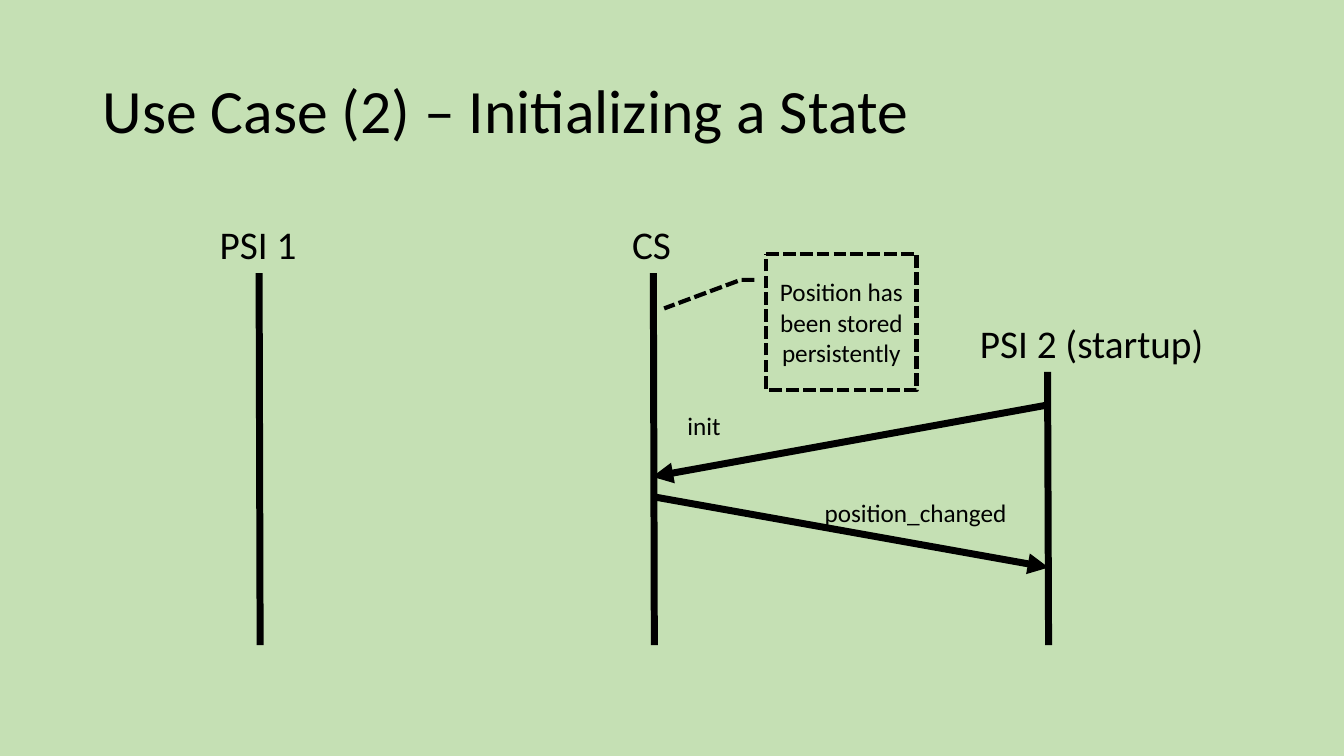
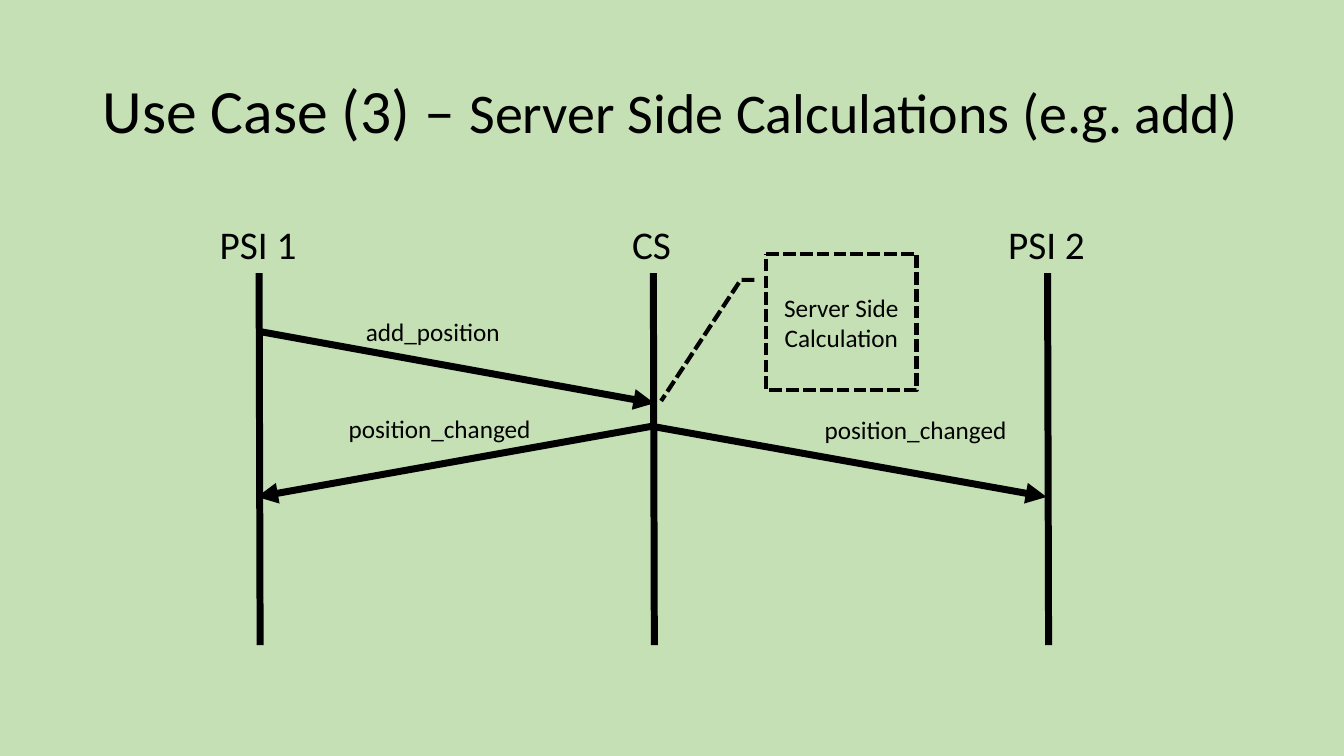
"""Build two sequence-diagram slides about sharing a position."""
from pptx import Presentation
from pptx.dml.color import RGBColor
from pptx.enum import dml, shapes, text
from pptx.oxml.ns import qn
from pptx.util import Inches, Pt
from lxml import etree

FONT, INK, GREEN = "Calibri", "000000", "C5E0B4"
LIFELINE_X, LIFELINE_GAP, LIFELINE_END = 2.57, 3.91, 6.4
LABEL_H, MESSAGE_H = 0.57, 0.4

SLIDES = [
    {
        "title": [("Use Case (2) – Initializing a State", 44)],
        "lifelines": [("PSI 1", 2.08, 0.97, 2.71), ("CS", 6.17, 0.59, 2.71),
                      ("PSI 2 (startup)", 9.62, 2.45, 3.69)],
        "arrows": [((6.49, 4.93), (10.4, 5.63)), ((10.38, 4.02), (6.47, 4.73))],
        "messages": [("position_changed", 8.08, 4.88, 2.03),
                     ("init", 6.72, 4.02, 0.54)],
        "note": ("Position has been stored persistently", 0.4, -0.68),
    },
    {
        "title": [("Use Case (3) – ", 44),
                  ("Server Side Calculations (e.g. add)", 40)],
        "lifelines": [("PSI 1", 2.08, 0.97, 2.71), ("CS", 6.17, 0.59, 2.71),
                      ("PSI 2", 9.9, 0.97, 2.71)],
        "arrows": [((2.58, 3.29), (6.49, 4)), ((6.47, 4.23), (10.38, 4.93)),
                   ((6.46, 4.23), (2.55, 4.93))],
        "messages": [("add_position", 3.53, 3.09, 1.55),
                     ("position_changed", 8.08, 4.06, 2.03),
                     ("position_changed", 3.36, 4.05, 2.03)],
        "note": ("Server Side Calculation", 1.08, -0.7),
    },
]


def color(value):
    return RGBColor.from_string(value)


def write(p, runs):
    for content, size in runs:
        r = p.add_run()
        r.text = content
        r.font.name, r.font.size = FONT, Pt(size)
        r.font.color.rgb = color(INK)


def add_text(s, box, runs, wrap=False):
    tf = s.shapes.add_textbox(*map(Inches, box)).text_frame
    tf.word_wrap = wrap
    write(tf.paragraphs[0], runs)
    return tf


def add_title(s, runs):
    tf = add_text(s, (0.92, 0.4, 11.5, 1.45), runs, wrap=True)
    tf.vertical_anchor = text.MSO_ANCHOR.MIDDLE
    tf.paragraphs[0].line_spacing = 0.9


def add_line(s, start, end, arrow=False):
    c = s.shapes.add_connector(shapes.MSO_CONNECTOR.STRAIGHT,
                               *map(Inches, (*start, *end)))
    c.line.width = Pt(5)
    c.line.color.rgb = color(INK)
    if arrow:
        etree.SubElement(c.line._get_or_add_ln(), qn("a:tailEnd"), type="triangle")
    etree.SubElement(c._element.spPr, qn("a:effectLst"))


def add_note(s, content, tip_y, tip_x):
    sp = s.shapes.add_shape(shapes.MSO_SHAPE.LINE_CALLOUT_2,
                            *map(Inches, (7.6, 2.52, 1.49, 1.35)))
    for i, value in enumerate((0.19, -0.08, 0.19, -0.17, tip_y, tip_x)):
        sp.adjustments[i] = value
    sp.shadow.inherit = False
    sp.fill.background()
    sp.line.width = Pt(3)
    sp.line.color.rgb = color(INK)
    sp.line.dash_style = dml.MSO_LINE.SQUARE_DOT
    tf = sp.text_frame
    tf.word_wrap = True
    tf.vertical_anchor = text.MSO_ANCHOR.MIDDLE
    p = tf.paragraphs[0]
    p.alignment = text.PP_ALIGN.CENTER
    write(p, [(content, 18)])


prs = Presentation()
prs.slide_width, prs.slide_height = Inches(13.33), Inches(7.5)
master_fill = prs.slide_master.background.fill
master_fill.solid()
master_fill.fore_color.rgb = color(GREEN)

for content in SLIDES:
    s = prs.slides.add_slide(prs.slide_layouts[6])
    add_title(s, content["title"])
    for i, (name, left, width, top) in enumerate(content["lifelines"]):
        x = LIFELINE_X + i * LIFELINE_GAP
        add_line(s, (x, top), (x + 0.01, LIFELINE_END))
        add_text(s, (left, top - LABEL_H, width, LABEL_H), [(name, 28)])
    for start, end in content["arrows"]:
        add_line(s, start, end, arrow=True)
    for name, left, top, width in content["messages"]:
        add_text(s, (left, top, width, MESSAGE_H), [(name, 18)])
    add_note(s, *content["note"])

prs.save("out.pptx")
